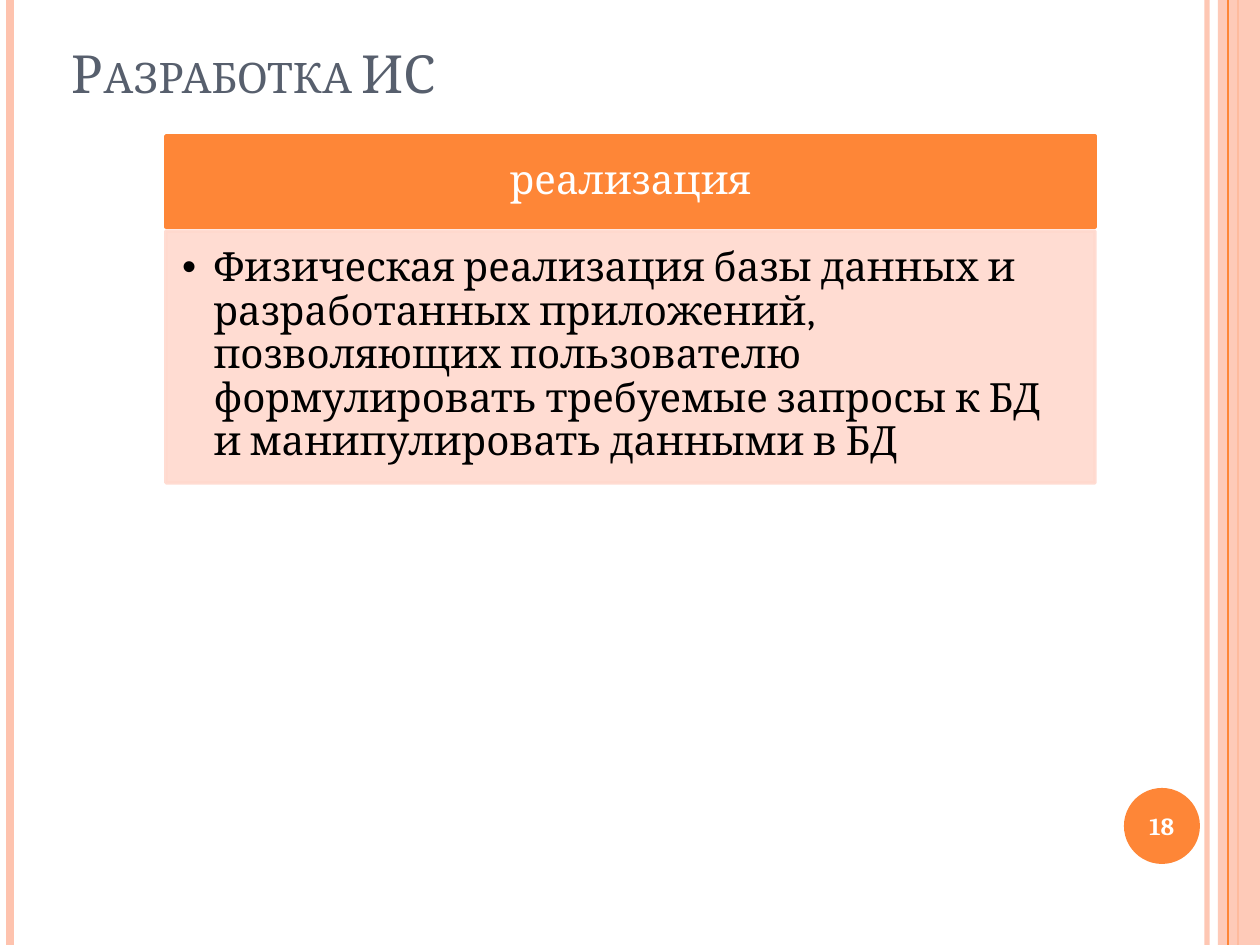
from lxml import etree
from pptx import Presentation
from pptx.dml.color import RGBColor
from pptx.enum.shapes import MSO_CONNECTOR, MSO_SHAPE
from pptx.enum.text import MSO_ANCHOR, MSO_AUTO_SIZE, PP_ALIGN
from pptx.oxml.ns import qn
from pptx.util import Pt

PX = 914400 / 126
WIDTH, HEIGHT = 1260, 945
STRAIGHT = MSO_CONNECTOR.STRAIGHT
RECTANGLE, OVAL = MSO_SHAPE.RECTANGLE, MSO_SHAPE.OVAL
TOP, MIDDLE, BOTTOM = MSO_ANCHOR.TOP, MSO_ANCHOR.MIDDLE, MSO_ANCHOR.BOTTOM
LEFT, CENTER = PP_ALIGN.LEFT, PP_ALIGN.CENTER
NO_AUTOFIT = MSO_AUTO_SIZE.NONE
FONT = "Cambria"
ORANGE = RGBColor(0xFE, 0x86, 0x37)
PEACH = RGBColor(0xFE, 0xC3, 0xAE)
PALE = RGBColor(0xFF, 0xD9, 0xCE)
SLATE = RGBColor(0x57, 0x5F, 0x6D)
WHITE = RGBColor(0xFF, 0xFF, 0xFF)
BLACK = RGBColor(0, 0, 0)


def set_opacity(fill_format, percent):
    """Set the opacity of a solid fill of a shape or a line."""
    color = fill_format._xPr.find(qn("a:solidFill"))[0]
    etree.SubElement(color, qn("a:alpha")).set("val", str(percent * 1000))


def write_text(shape, text, size, color, anchor, align, insets):
    """Write one paragraph and return it with its run."""
    frame = shape.text_frame
    frame.word_wrap = True
    frame.auto_size = NO_AUTOFIT
    frame.vertical_anchor = anchor
    (frame.margin_left, frame.margin_top,
     frame.margin_right, frame.margin_bottom) = [round(inset * PX) for inset in insets]
    paragraph = frame.paragraphs[0]
    paragraph.alignment = align
    paragraph.space_before = Pt(0)
    run = paragraph.add_run()
    run.text = text
    run.font.name = FONT
    run.font.size = Pt(size)
    run.font.color.rgb = color
    return paragraph, run


presentation = Presentation()
presentation.slide_width = round(WIDTH * PX)
presentation.slide_height = round(HEIGHT * PX)
slide = presentation.slides.add_slide(presentation.slide_layouts[1])
shapes = slide.shapes

# Vertical lines at the edges: x, color, width in points, opacity
edge_lines = [
    (1207, PEACH, 3, 93),
    (10, PEACH, 4.5, 100),
    (1238, ORANGE, 1.5, 100),
    (1228, ORANGE, 0.75, 100),
]
for x, color, width, opacity in edge_lines:
    edge = shapes.add_connector(STRAIGHT, round(x * PX), 0, round(x * PX), round(HEIGHT * PX))
    edge.line.color.rgb = color
    edge.line.width = Pt(width)
    if opacity < 100:
        set_opacity(edge.line.fill, opacity)
    etree.SubElement(edge._element.spPr, qn("a:effectLst"))
    if x == 1238:
        # Right strip, between the two orange lines in depth
        strip = shapes.add_shape(RECTANGLE, round(1218 * PX), 0, round(42 * PX), round(HEIGHT * PX))
        strip.shadow.inherit = False
        strip.fill.solid()
        strip.fill.fore_color.rgb = PEACH
        set_opacity(strip.fill, 87)
        strip.line.fill.background()

# Page number badge
badge = shapes.add_shape(OVAL, *[round(v * PX) for v in (1124, 788, 76, 76)])
badge.shadow.inherit = False
badge.fill.solid()
badge.fill.fore_color.rgb = ORANGE
badge.line.fill.background()
paragraph, run = write_text(badge, "18", 14, WHITE, MIDDLE, CENTER, (0, 0, 0, 0))
run.font.bold = True

# Title
title = shapes.title
title.left, title.top, title.width, title.height = [round(v * PX) for v in (59, 0, 1029, 110)]
paragraph, run = write_text(title, "Разработка ИС", 30, SLATE, BOTTOM, LEFT, (13, 6, 13, 6))
run._r.get_or_add_rPr().set("cap", "small")

# Card header
header = shapes.add_shape(RECTANGLE, *[round(v * PX) for v in (166, 136, 929, 91)])
header.shadow.inherit = False

# Card body
body = slide.placeholders[1]
body.left, body.top, body.width, body.height = [round(v * PX) for v in (166, 231, 929, 252)]

for card, color in ((header, ORANGE), (body, PALE)):
    card.fill.solid()
    card.fill.fore_color.rgb = color
    card.line.color.rgb = color
    card.line.width = Pt(2)
set_opacity(body.fill, 90)
set_opacity(body.line.fill, 90)

paragraph, run = write_text(header, "реализация", 23, WHITE, MIDDLE, CENTER, (23, 13, 23, 13))
paragraph.line_spacing = 0.9

paragraph, run = write_text(
    body,
    "Физическая реализация базы данных и разработанных приложений, позволяющих "
    "пользователю формулировать требуемые запросы к БД и манипулировать данными в БД",
    23, BLACK, TOP, LEFT, (16, 16, 23, 25))
paragraph.line_spacing = 0.9
properties = paragraph._p.get_or_add_pPr()
properties.set("marL", "228600")
properties.set("indent", "-228600")
etree.SubElement(properties, qn("a:buChar")).set("char", "•")

presentation.save("out.pptx")
